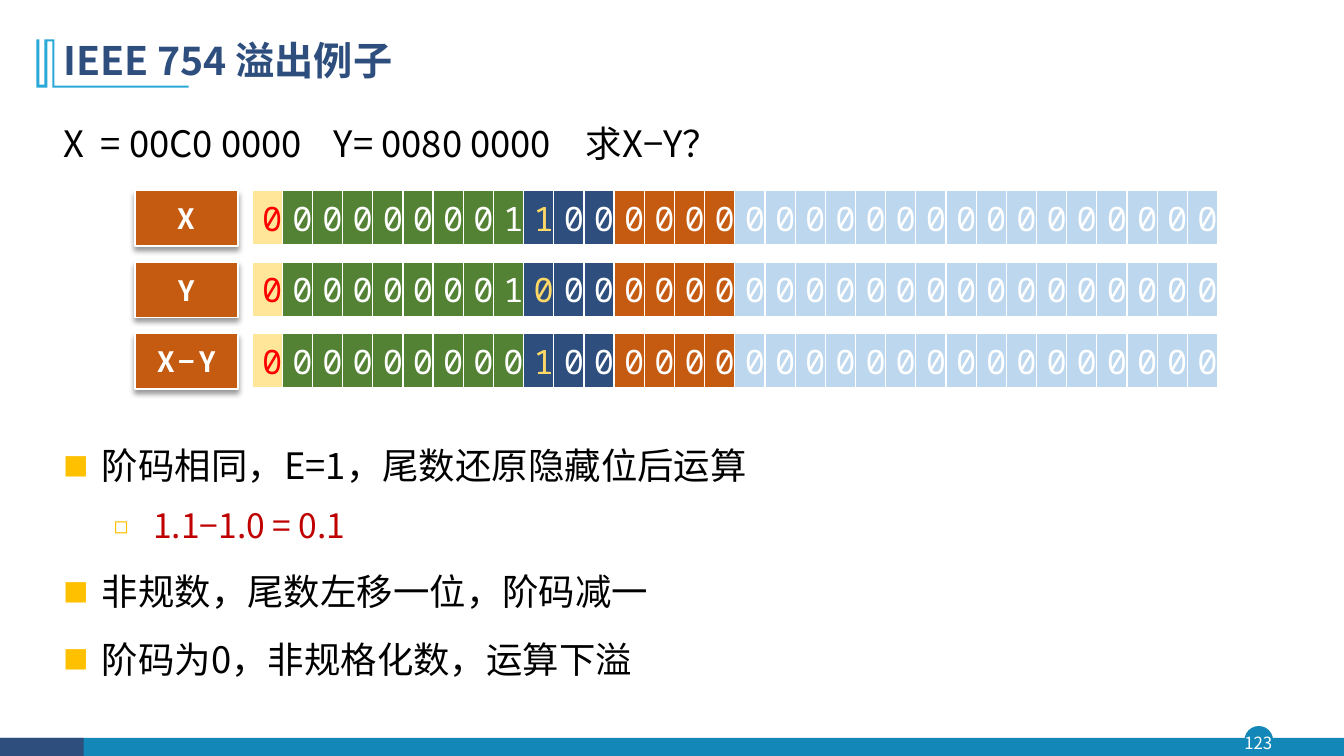
import lxml.etree
import pptx
import pptx.dml.color
import pptx.enum.shapes
import pptx.enum.text
import pptx.oxml.ns
import pptx.util

PX = 9144  # 100 px to the inch
SANS, MONO = "Noto Sans CJK SC", "Noto Sans Mono"
WHITE, BLACK, NAVY, TEAL = "FFFFFF", "000000", "2E4E7E", "1387B7"
CYAN, ORANGE, GOLD, RED = "28A9D6", "C55A11", "FFC000", "C00000"
ALIGN = pptx.enum.text.PP_ALIGN
MIDDLE = pptx.enum.text.MSO_ANCHOR.MIDDLE
SHAPES = pptx.enum.shapes.MSO_SHAPE

# Bit fields of a float: width and cell fill
FIELDS = [(1, "FFE699"), (8, "548235"), (3, NAVY), (4, ORANGE), (16, "BDD7EE")]
FILLS = [fill for width, fill in FIELDS for _ in range(width)]
SIGN, LEADING = 0, 9
DIGIT_COLORS = {SIGN: "FF0000", LEADING: "FFD966"}
OPERANDS = [
    ("X", "0" + "00000001" + "1".ljust(23, "0")),
    ("Y", "0" + "00000001" + "0".ljust(23, "0")),
    ("X−Y", "0" + "00000000" + "1".ljust(23, "0")),
]
# Text, level
STEPS = [
    ("阶码相同，E=1，尾数还原隐藏位后运算", 0),
    ("1.1−1.0 = 0.1", 1),
    ("非规数，尾数左移一位，阶码减一", 0),
    ("阶码为0，非规格化数，运算下溢", 0),
]


def rgb(color):
    return pptx.dml.color.RGBColor.from_string(color)


def emu(*lengths):
    return [length * PX for length in lengths]


def add_xml(parent, tag, **attributes):
    return lxml.etree.SubElement(parent, pptx.oxml.ns.qn(tag), attributes)


def style(paragraph, size, color, face=SANS, bold=False):
    font = paragraph.font
    font.size, font.bold, font.name = pptx.util.Pt(size), bold, face
    font.color.rgb = rgb(color)
    properties = paragraph._p.pPr.find(pptx.oxml.ns.qn("a:defRPr"))
    add_xml(properties, "a:ea", typeface=face)
    return properties


def set_margins(frame, left=0, top=0, right=0, bottom=0):
    frame.margin_left, frame.margin_top, frame.margin_right, frame.margin_bottom = emu(
        left, top, right, bottom)


def add_text_box(slide, box):
    frame = slide.shapes.add_textbox(*emu(*box)).text_frame
    frame.word_wrap = True
    set_margins(frame)
    return frame


def add_block(slide, kind, box, fill, line=None):
    shape = slide.shapes.add_shape(kind, *emu(*box))
    shape.shadow.inherit = False
    shape.fill.solid()
    shape.fill.fore_color.rgb = rgb(fill)
    if line:
        shape.line.color.rgb = rgb(line)
        shape.line.width = pptx.util.Pt(1)
    else:
        shape.line.fill.background()
    return shape


def add_footer(slide, box, number):
    left, top, width, height = box
    add_block(slide, SHAPES.OVAL, (left + 1235, top - 11, 27, 27), TEAL, TEAL)
    add_block(slide, SHAPES.RECTANGLE, box, TEAL)
    add_block(slide, SHAPES.RECTANGLE, (left, top, 83, height), NAVY)
    frame = add_text_box(slide, (left + 1232, top - 11, 32, 31))
    frame.vertical_anchor = MIDDLE
    paragraph = frame.paragraphs[0]
    paragraph.text, paragraph.alignment = number, ALIGN.CENTER
    style(paragraph, 12, WHITE)


def add_title(slide, box, text):
    left, top, width, height = box
    # Bracket with an underline, from its top left corner
    outline = [(18, 0), (18, 46), (151, 46), (151, 48), (16, 48), (16, 2), (11, 2),
               (11, 48), (0, 48), (0, 0), (3, 0), (3, 45), (8, 45), (8, 0)]
    points = [emu(left + x, top + 11 + y) for x, y in outline]
    builder = slide.shapes.build_freeform(*points[0])
    builder.add_line_segments(points[1:], close=True)
    bracket = builder.convert_to_shape()
    bracket.shadow.inherit = False
    bracket.fill.solid()
    bracket.fill.fore_color.rgb = rgb(CYAN)
    bracket.line.fill.background()

    frame = add_text_box(slide, (left + 27, top, width - 27, height))
    frame.vertical_anchor = MIDDLE
    paragraph = frame.paragraphs[0]
    paragraph.text, paragraph.line_spacing = text, 0.9
    style(paragraph, 28, NAVY, bold=True)


def add_question(slide, box):
    paragraph = add_text_box(slide, box).paragraphs[0]
    paragraph.text = "X\t= 00C0 0000\tY= 0080 0000\t求X−Y？"
    tabs = add_xml(paragraph._p.get_or_add_pPr(), "a:tabLst")
    for position in (37, 268, 518):
        add_xml(tabs, "a:tab", pos=str(position * PX), algn="l")
    style(paragraph, 26, BLACK)


def add_label(slide, box, text):
    card = add_block(slide, SHAPES.RECTANGLE, box, ORANGE, WHITE)
    effects = card._element.spPr.find(pptx.oxml.ns.qn("a:effectLst"))
    shadow = add_xml(effects, "a:outerShdw", blurRad="50800", dist="38100", dir="5400000")
    add_xml(add_xml(shadow, "a:srgbClr", val=BLACK), "a:alpha", val="40000")
    frame = card.text_frame
    frame.vertical_anchor = MIDDLE
    set_margins(frame)
    paragraph = frame.paragraphs[0]
    paragraph.text, paragraph.alignment = text, ALIGN.CENTER
    style(paragraph, 20, WHITE, bold=True).set("spc", "300")


def add_bits(slide, box, bits):
    table = slide.shapes.add_table(1, len(bits), *emu(*box)).table
    table.first_row = table.horz_banding = False
    for index, (bit, fill) in enumerate(zip(bits, FILLS)):
        table.columns[index].width = box[2] * PX // len(bits)
        cell = table.cell(0, index)
        cell.vertical_anchor = MIDDLE
        set_margins(cell, left=10)
        paragraph = cell.text_frame.paragraphs[0]
        paragraph.text = bit
        style(paragraph, 24, DIGIT_COLORS.get(index, WHITE), MONO)
        # Borders come before the fill
        properties = cell._tc.get_or_add_tcPr()
        for side, points in (("L", 1), ("R", 1), ("T", 1), ("B", 3)):
            border = add_xml(properties, "a:ln" + side, w=str(points * 12700))
            add_xml(add_xml(border, "a:solidFill"), "a:srgbClr", val=WHITE)
        cell.fill.solid()
        cell.fill.fore_color.rgb = rgb(fill)


def add_operands(slide, box):
    left, top, width, height = box
    row_height = 55
    pitch = (height - row_height) // (len(OPERANDS) - 1)
    for index, (name, bits) in enumerate(OPERANDS):
        row_top = top + index * pitch
        add_bits(slide, (left + 116, row_top, width - 116, row_height), bits)
        add_label(slide, (left, row_top, 102, row_height), name)


def add_steps(slide, box):
    frame = add_text_box(slide, box)
    for index, (text, level) in enumerate(STEPS):
        paragraph = frame.add_paragraph() if index else frame.paragraphs[0]
        paragraph.text, paragraph.level = text, level
        paragraph.alignment, paragraph.line_spacing = ALIGN.JUSTIFY, 1.2
        if index:
            paragraph.space_before = pptx.util.Pt(7 if level else 11)
        indent, hanging = emu(89, 39) if level else emu(38, 38)
        properties = paragraph._p.get_or_add_pPr()
        properties.set("marL", str(indent))
        properties.set("indent", str(-hanging))
        add_xml(add_xml(properties, "a:buClr"), "a:srgbClr", val=GOLD)
        add_xml(properties, "a:buSzPct", val="70000")
        add_xml(properties, "a:buFont", typeface=SANS)
        add_xml(properties, "a:buChar", char="◻" if level else "■")
        style(paragraph, 24 if level else 26, RED if level else BLACK)


def main():
    presentation = pptx.Presentation()
    presentation.slide_width, presentation.slide_height = emu(1333, 750)
    slide = presentation.slides.add_slide(presentation.slide_layouts[6])
    add_footer(slide, (0, 732, 1333, 18), "123")
    add_title(slide, (36, 28, 1157, 68), "IEEE 754 溢出例子")
    add_question(slide, (63, 120, 1222, 54))
    add_operands(slide, (134, 189, 1074, 197))
    add_steps(slide, (63, 431, 1222, 288))
    presentation.save("out.pptx")


if __name__ == "__main__":
    main()
